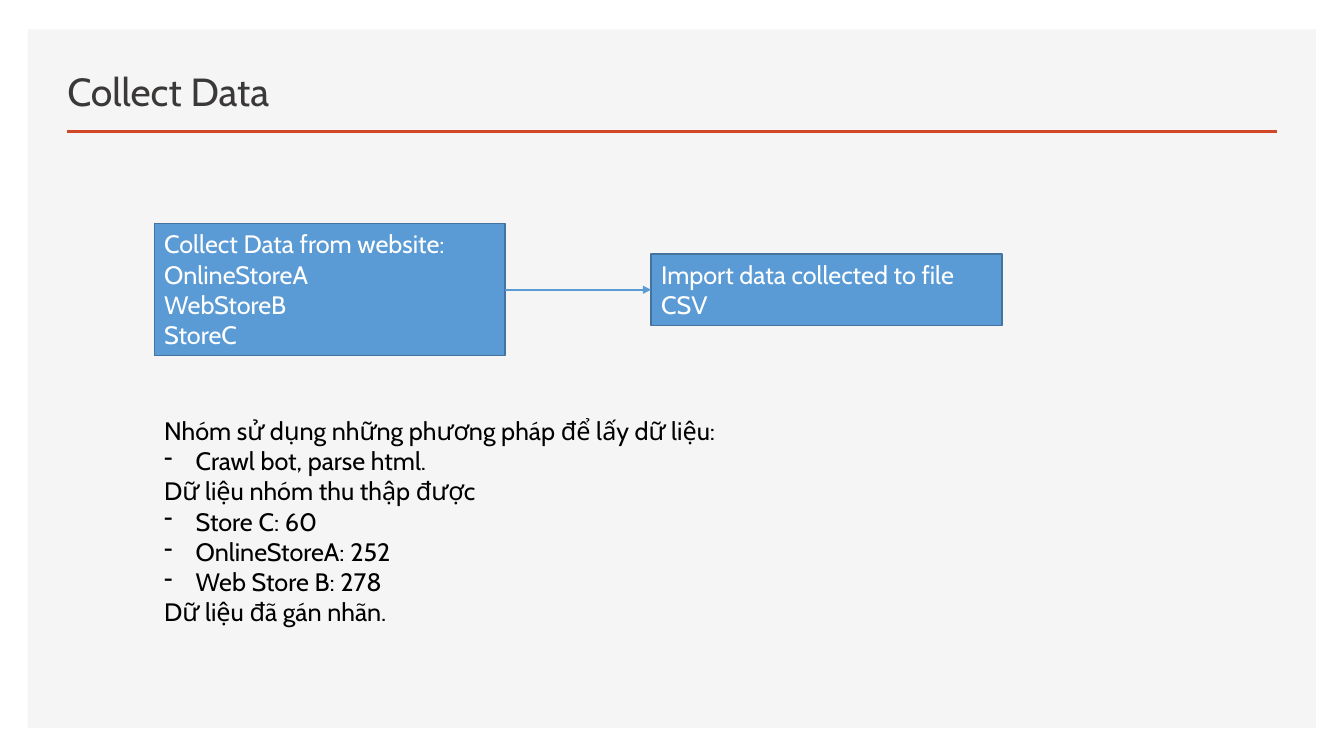
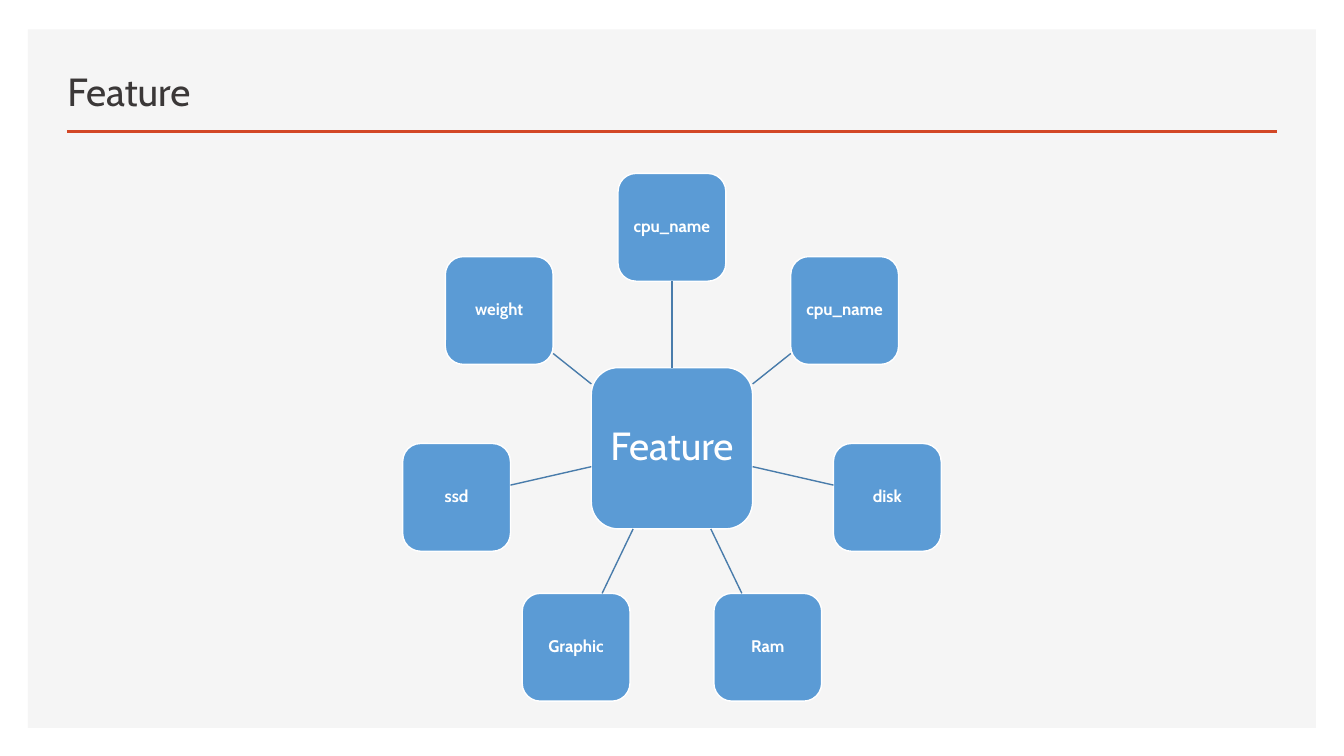
import math
from dataclasses import dataclass

import pptx
import pptx.dml.color
import pptx.enum.shapes
import pptx.enum.text
import pptx.oxml
import pptx.oxml.ns
import pptx.util

Pt = pptx.util.Pt
RGBColor = pptx.dml.color.RGBColor
SHAPE = pptx.enum.shapes.MSO_SHAPE
ANCHOR = pptx.enum.text.MSO_ANCHOR
ALIGN = pptx.enum.text.PP_ALIGN

FONT = "Cabin"
WHITE = RGBColor(0xFF, 0xFF, 0xFF)
BLACK = RGBColor(0x00, 0x00, 0x00)
PANEL = RGBColor(0xF5, 0xF5, 0xF5)
ACCENT = RGBColor(0xD2, 0x47, 0x26)
TITLE = RGBColor(0x3B, 0x38, 0x38)
BLUE = RGBColor(0x5B, 0x9B, 0xD5)
BLUE_EDGE = RGBColor(0x43, 0x73, 0x9E)
SPOKE = RGBColor(0x49, 0x7C, 0xAB)

BULLET = "- "
BULLET_INDENT = 22.5


@dataclass(frozen=True)
class Box:
    x: float
    y: float
    w: float
    h: float

    @classmethod
    def square(cls, cx: float, cy: float, side: float) -> "Box":
        return cls(cx - side / 2, cy - side / 2, side, side)

    def points(self) -> tuple:
        return Pt(self.x), Pt(self.y), Pt(self.w), Pt(self.h)


@dataclass(frozen=True)
class Step:
    box: Box
    lines: tuple


# Collect Data content
STEPS = (
    Step(Box(110.2, 159.8, 250.6, 94.4),
         ("Collect Data from website:", "OnlineStoreA", "WebStoreB", "StoreC")),
    Step(Box(465.1, 181.4, 250.6, 51.2), ("Import data collected to file CSV",)),
)
NOTES_BOX = Box(110.2, 293, 734.4, 159.8)
NOTES = (
    "Nhóm sử dụng những phương pháp để lấy dữ liệu:",
    "- Crawl bot, parse html.",
    "Dữ liệu nhóm thu thập được",
    "- Store C: 60",
    "- OnlineStoreA: 252",
    "- Web Store B: 278",
    "Dữ liệu đã gán nhãn.",
)

# Feature wheel content, clockwise from the top
FEATURES = ("cpu_name", "cpu_name", "disk", "Ram", "Graphic", "ssd", "weight")
HUB_X, HUB_Y = 480, 320.2
HUB_SIDE, NODE_SIDE = 115.2, 77
RADIUS = 157.8


def write(shape, lines, *, size=18, color=WHITE, bold=False, align=ALIGN.LEFT,
          anchor=ANCHOR.TOP, spacing=1.0, inset=None) -> None:
    """Fill a shape with paragraphs; lines starting with a dash are bullets."""
    tf = shape.text_frame
    tf.word_wrap = True
    tf.vertical_anchor = anchor
    if inset is not None:
        tf.margin_left = tf.margin_right = Pt(inset)
        tf.margin_top = tf.margin_bottom = Pt(inset)
    for i, line in enumerate(lines):
        p = tf.paragraphs[0] if i == 0 else tf.add_paragraph()
        p.alignment = align
        p.line_spacing = spacing
        r = p.add_run()
        r.text = line.removeprefix(BULLET)
        r.font.name = FONT
        r.font.size = Pt(size)
        r.font.bold = bold
        r.font.color.rgb = color
        if line.startswith(BULLET):
            add_bullet(p)


def add_bullet(p) -> None:
    pPr = p._p.get_or_add_pPr()
    pPr.set("marL", str(Pt(BULLET_INDENT)))
    pPr.set("indent", str(-Pt(BULLET_INDENT)))
    bullet = pptx.oxml.ns.qn("a:buChar")
    pPr.append(pPr.makeelement(bullet, {"char": "-"}))


def add_box(s, kind, box: Box, fill: RGBColor, edge: RGBColor | None = None):
    sp = s.shapes.add_shape(kind, *box.points())
    sp.shadow.inherit = False
    sp.fill.solid()
    sp.fill.fore_color.rgb = fill
    if edge is None:
        sp.line.fill.background()
    else:
        sp.line.color.rgb = edge
        sp.line.width = Pt(1)
    return sp


def add_line(s, start: tuple, end: tuple, color: RGBColor, width: float,
             arrow: bool = False):
    line = s.shapes.add_connector(pptx.enum.shapes.MSO_CONNECTOR.STRAIGHT,
                                  *(Pt(v) for v in start + end))
    line.line.color.rgb = color
    line.line.width = Pt(width)
    qn = pptx.oxml.ns.qn
    if arrow:
        ln = line.line._get_or_add_ln()
        ln.append(ln.makeelement(qn("a:tailEnd"), {"type": "triangle"}))
    spPr = line._element.spPr
    spPr.append(spPr.makeelement(qn("a:effectLst"), {}))
    return line


def add_slide(prs, title: str):
    """Blank slide with the shared panel, rule and title."""
    s = prs.slides.add_slide(prs.slide_layouts[6])
    add_box(s, SHAPE.RECTANGLE, Box(20, 21, 920, 499), PANEL)
    add_line(s, (47.8, 94), (912, 94), ACCENT, 2)
    tb = s.shapes.add_textbox(*Box(41, 35.3, 541.4, 50.4).points())
    write(tb, [title], size=28, color=TITLE, anchor=ANCHOR.BOTTOM, spacing=0.9)
    return s


def build_collect(prs) -> None:
    s = add_slide(prs, "Collect Data")

    # Flow
    shapes = []
    for step in STEPS:
        sp = add_box(s, SHAPE.RECTANGLE, step.box, BLUE, BLUE_EDGE)
        write(sp, step.lines)
        shapes.append(sp)
    a, b = (step.box for step in STEPS)
    arrow = add_line(s, (a.x + a.w, a.y + a.h / 2), (b.x, b.y + b.h / 2),
                     BLUE, 1.5, arrow=True)
    arrow.begin_connect(shapes[0], 3)
    arrow.end_connect(shapes[1], 1)

    # Notes
    write(s.shapes.add_textbox(*NOTES_BOX.points()), NOTES, color=BLACK)


def build_feature(prs) -> None:
    s = add_slide(prs, "Feature")

    # Hub
    hub = add_box(s, SHAPE.ROUNDED_RECTANGLE,
                  Box.square(HUB_X, HUB_Y, HUB_SIDE), BLUE, WHITE)
    write(hub, ["Feature"], size=28, align=ALIGN.CENTER, anchor=ANCHOR.MIDDLE,
          spacing=0.9, inset=2)

    # Nodes and spokes
    for i, name in enumerate(FEATURES):
        angle = 2 * math.pi * i / len(FEATURES)
        dx, dy = math.sin(angle), -math.cos(angle)
        node = add_box(s, SHAPE.ROUNDED_RECTANGLE,
                       Box.square(HUB_X + RADIUS * dx, HUB_Y + RADIUS * dy, NODE_SIDE),
                       BLUE, WHITE)
        write(node, [name], size=12, bold=True, align=ALIGN.CENTER,
              anchor=ANCHOR.MIDDLE, spacing=0.9, inset=2)

        # The spoke runs between the two square outlines
        reach = max(abs(dx), abs(dy))
        near = HUB_SIDE / 2 / reach
        far = RADIUS - NODE_SIDE / 2 / reach
        spoke = add_line(s, (HUB_X + near * dx, HUB_Y + near * dy),
                         (HUB_X + far * dx, HUB_Y + far * dy), SPOKE, 1)
        if i == 0:
            spoke.begin_connect(hub, 0)
            spoke.end_connect(node, 2)


def main() -> None:
    prs = pptx.Presentation()
    prs.slide_width, prs.slide_height = Pt(960), Pt(540)
    build_collect(prs)
    build_feature(prs)
    prs.save("out.pptx")


if __name__ == "__main__":
    main()
